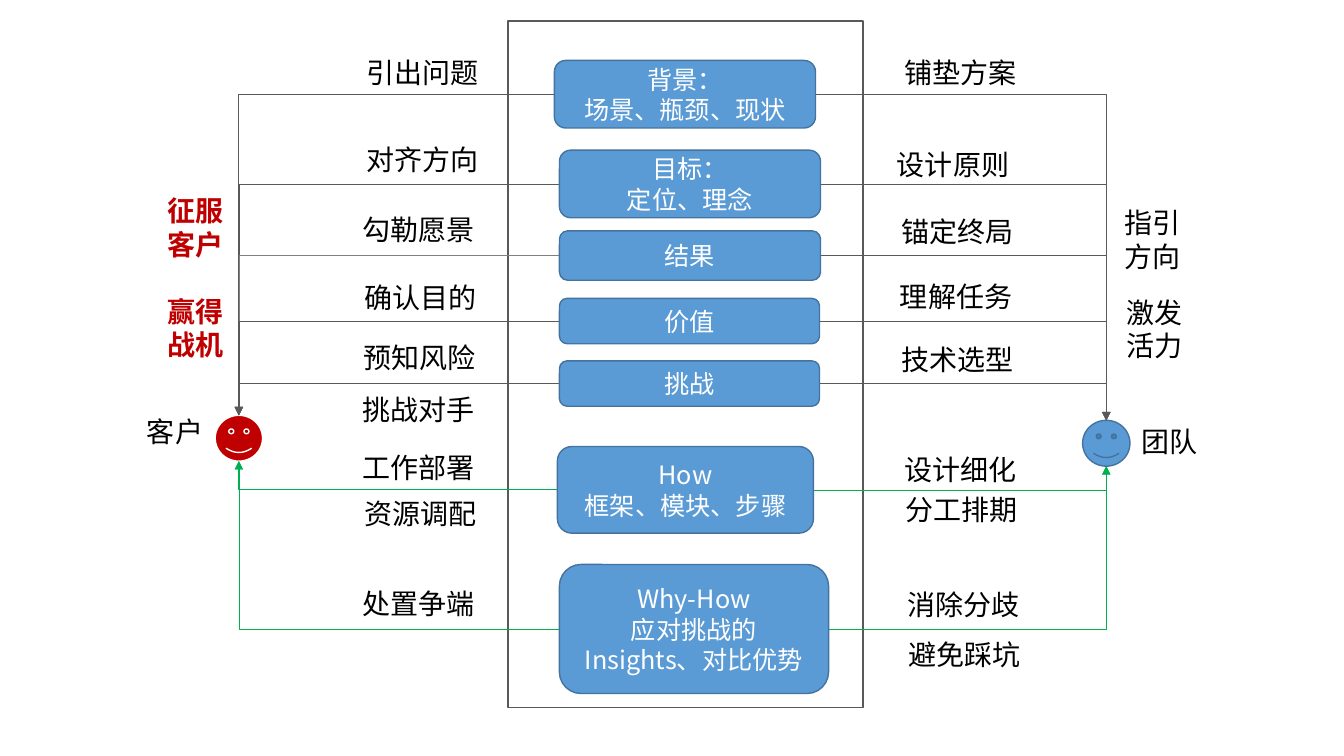
from lxml import etree
from pptx import Presentation
from pptx.dml.color import RGBColor
from pptx.enum.dml import MSO_THEME_COLOR
from pptx.enum.shapes import MSO_CONNECTOR, MSO_SHAPE
from pptx.enum.text import MSO_ANCHOR, MSO_AUTO_SIZE, PP_ALIGN
from pptx.oxml.ns import qn
from pptx.util import Inches, Pt

ELBOW = MSO_CONNECTOR.ELBOW
RECT, ROUND, SMILEY = MSO_SHAPE.RECTANGLE, MSO_SHAPE.ROUNDED_RECTANGLE, MSO_SHAPE.SMILEY_FACE
MIDDLE, CENTER, LEFT = MSO_ANCHOR.MIDDLE, PP_ALIGN.CENTER, PP_ALIGN.LEFT
FIT = MSO_AUTO_SIZE.SHAPE_TO_FIT_TEXT

FONT = "Noto Sans CJK JP"
COLORS = {"blue": "5B9BD5", "edge": "43739E", "red": "C00000", "green": "00B050",
          "dark": "595959", "gray": "808080", "black": "000000", "white": "FFFFFF"}

# All lengths are cells of a square grid, ten cells to the inch
CELL = Inches(0.1)
COLS, ROWS = 133.33, 75
LABEL_W, LABEL_H = 13.2, 4.4

# Stage boxes: left, top, width, height, lines, left and right arrow colours
STAGES = [
    (55.0, 6.0, 25.9, 6.7, ["背景：", "场景、瓶颈、现状"], "dark", "dark"),
    (55.5, 14.9, 25.9, 6.7, ["目标：", "定位、理念"], "dark", "dark"),
    (55.5, 22.9, 25.9, 4.9, ["结果"], "gray", "dark"),
    (55.5, 29.6, 25.8, 4.5, ["价值"], "dark", "dark"),
    (55.5, 35.8, 25.8, 4.5, ["挑战"], "dark", "dark"),
    (55.3, 44.3, 25.4, 8.6, ["How", "框架、模块、步骤"], "green", "green"),
    (55.5, 56.0, 26.7, 12.8, ["Why-How", "应对挑战的Insights、对比优势"], "green", "green"),
]

# Labels over the arrows: left, top, text
LABELS = [
    (35.4, 5.0, "引出问题"), (35.4, 13.6, "对齐方向"), (35.0, 20.6, "勾勒愿景"),
    (35.2, 27.3, "确认目的"), (35.1, 33.3, "预知风险"), (35.0, 38.4, "挑战对手"),
    (35.0, 44.2, "工作部署"), (35.2, 48.8, "资源调配"), (35.0, 57.7, "处置争端"),
    (88.7, 5.0, "铺垫方案"), (88.0, 14.1, "设计原则"), (88.4, 20.8, "锚定终局"),
    (88.3, 27.2, "理解任务"), (88.4, 33.5, "技术选型"), (88.7, 44.4, "设计细化"),
    (88.8, 48.4, "分工排期"), (89.0, 57.8, "消除分歧"), (89.1, 62.8, "避免踩坑"),
]

# Faces: left, top, width, height
CLIENT_FACE = (21.35, 41.2, 4.7, 4.55)
TEAM_FACE = (107.4, 41.7, 4.7, 4.55)


def cells(*values):
    return [round(v * CELL) for v in values]


def rgb(name):
    return RGBColor.from_string(COLORS[name])


def write(tf, lines, size, color, align=LEFT, bold=False, gap=0):
    for i, line in enumerate(lines):
        p = tf.paragraphs[0] if i == 0 else tf.add_paragraph()
        p.alignment = align
        if i and gap:
            p.space_before = Pt(gap)
        r = p.add_run()
        r.text = line
        r.font.size, r.font.bold, r.font.name = Pt(size), bold, FONT
        r.font.color.rgb = rgb(color)
        etree.SubElement(r.font._element, qn("a:ea")).set("typeface", FONT)


def add_text(s, box, lines, color="black", wrap=True, **style):
    tf = s.shapes.add_textbox(*cells(*box)).text_frame
    tf.word_wrap = wrap
    tf.auto_size = FIT
    write(tf, lines, 20, color, **style)


def add_shape(s, kind, box, fill, line):
    sp = s.shapes.add_shape(kind, *cells(*box))
    sp.shadow.inherit = False
    if fill:
        sp.fill.solid()
        sp.fill.fore_color.rgb = rgb(fill)
    else:
        sp.fill.background()
    sp.line.color.rgb = rgb(line)
    sp.line.width = Pt(1)
    return sp


def add_stage(s, box, lines):
    tf = add_shape(s, ROUND, box, "blue", "edge").text_frame
    tf.word_wrap = True
    tf.vertical_anchor = MIDDLE
    write(tf, lines, 18, "white", align=CENTER)


def add_arrow(s, start, end, color):
    """One-corner arrow: across from start, then up or down to end."""
    c = s.shapes.add_connector(ELBOW, *cells(*start, *end))
    c.line.color.rgb = rgb(color)
    c.line.width = Pt(0.5)
    etree.SubElement(c.line._get_or_add_ln(), qn("a:tailEnd")).set("type", "triangle")
    sp_pr = c._element.spPr
    sp_pr.find(qn("a:prstGeom")).set("prst", "bentConnector2")
    etree.SubElement(sp_pr, qn("a:effectLst"))


def face_end(face, stage_y):
    """Top of the face for stages above it, bottom for those below."""
    left, top, width, height = face
    return left + width / 2, top if stage_y < top else top + height


def main():
    prs = Presentation()
    prs.slide_width, prs.slide_height = cells(COLS, ROWS)
    s = prs.slides.add_slide(prs.slide_layouts[6])

    # Frame around the stages
    add_shape(s, RECT, (50.4, 2.1, 35.2, 68.1), None, "dark")

    # Audiences
    add_shape(s, SMILEY, CLIENT_FACE, "red", "white")
    add_shape(s, SMILEY, TEAM_FACE, "blue", "edge")
    add_text(s, (13.6, 40.6, 7.8, LABEL_H), ["客户"])
    add_text(s, (112.3, 41.6, 7.6, LABEL_H), ["团队"], wrap=False)

    # Stages with an arrow to each audience
    for left, top, width, height, lines, left_color, right_color in STAGES:
        y = top + height / 2
        add_arrow(s, (left, y), face_end(CLIENT_FACE, y), left_color)
        add_arrow(s, (left + width, y), face_end(TEAM_FACE, y), right_color)
        add_stage(s, (left, top, width, height), lines)

    # Labels over the arrows
    for left, top, text in LABELS:
        add_text(s, (left, top, LABEL_W, LABEL_H), [text], wrap=False)

    # Outcomes at the sides
    add_text(s, (15.6, 18.7, 9.0, 17.8), ["征服客户", "赢得战机"], "red", bold=True, gap=24)
    add_text(s, (110.6, 19.9, 8.5, 7.7), ["指引方向"])
    add_text(s, (110.8, 28.8, 8.5, 7.7), ["激发活力"])

    prs.save("out.pptx")


if __name__ == "__main__":
    main()
